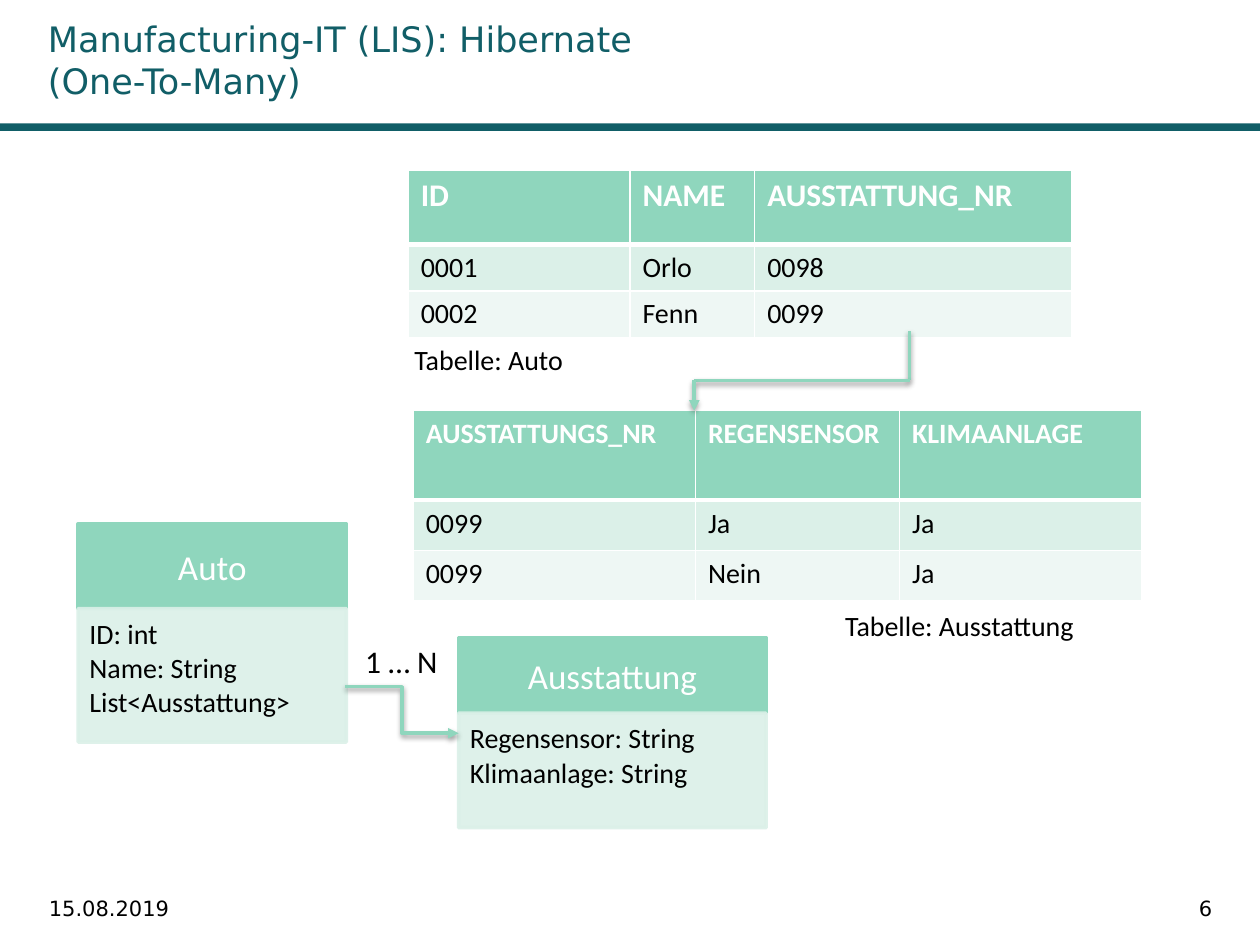
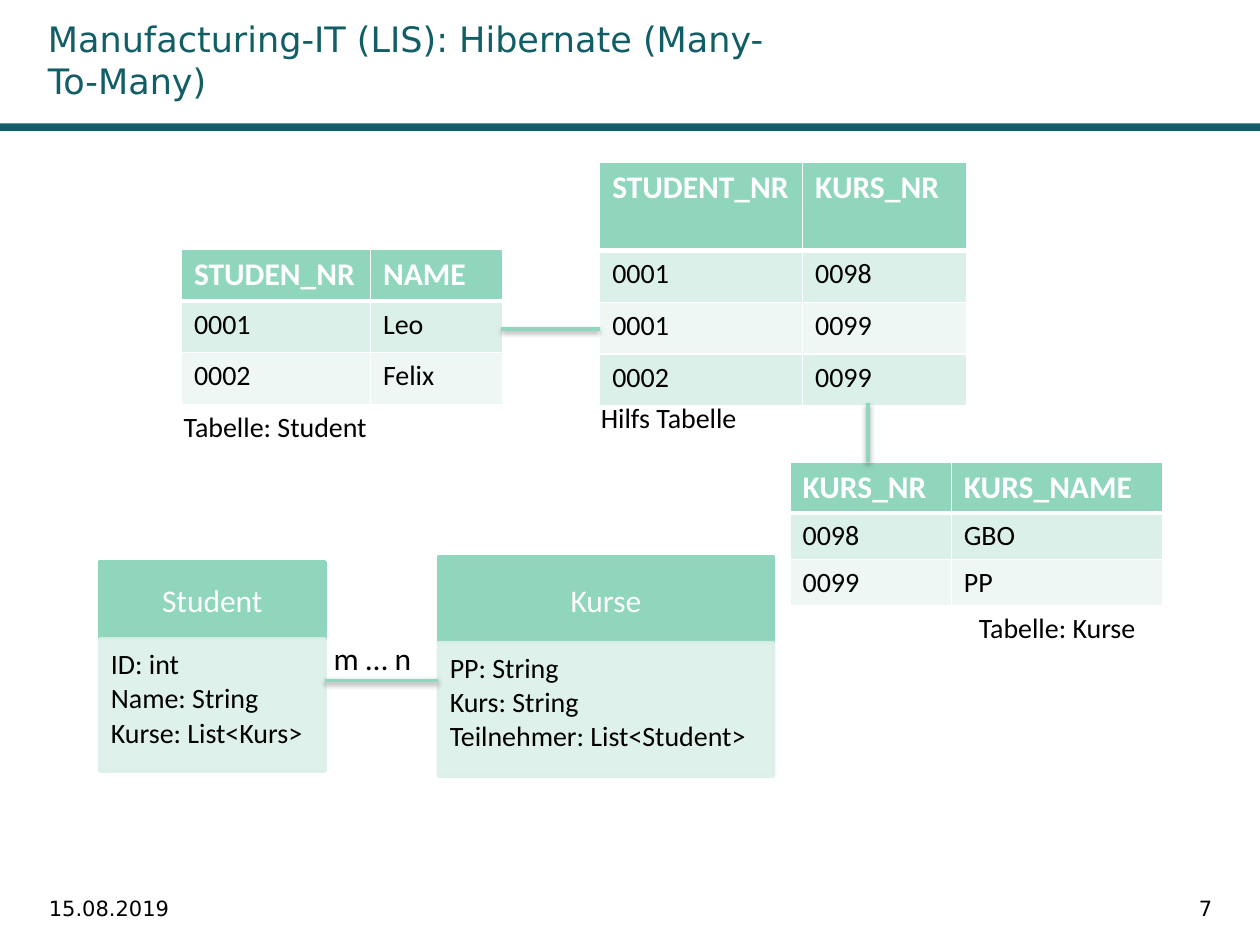
import itertools

import pptx
import pptx.dml.color
import pptx.enum.shapes
import pptx.enum.text
import pptx.oxml
import pptx.oxml.ns
import pptx.util
from pptx.util import Inches, Pt

TEAL = "115E67"
MINT = "8FD6BD"
PALE = "DBF0E8"
PALEST = "EEF7F4"
WHITE = "FFFFFF"
BLACK = "000000"
TITLE_FONT = "DejaVu Sans"
BODY_FONT = "Calibri"
DATE = "15.08.2019"

qn = pptx.oxml.ns.qn
ALIGN = pptx.enum.text.PP_ALIGN
ANCHOR = pptx.enum.text.MSO_ANCHOR
SHAPE = pptx.enum.shapes.MSO_SHAPE
CONNECTOR = pptx.enum.shapes.MSO_CONNECTOR


def color(value):
    return pptx.dml.color.RGBColor.from_string(value)


def xml(tag, attributes="", content=""):
    namespace = pptx.oxml.ns.nsdecls("a")
    return pptx.oxml.parse_xml(f"<a:{tag} {namespace} {attributes}>{content}</a:{tag}>")


def solid(value):
    return f'<a:solidFill><a:srgbClr val="{value}"/></a:solidFill>'


def format_text(text_frame, size, text_color=BLACK, font=BODY_FONT, bold=False,
                alignment=ALIGN.LEFT):
    for paragraph in text_frame.paragraphs:
        paragraph.alignment = alignment
        for run in paragraph.runs:
            run.font.size = Pt(size)
            run.font.name = font
            run.font.bold = bold
            run.font.color.rgb = color(text_color)


def add_text(slide, text, left, top, width, height, size, font=BODY_FONT,
             alignment=ALIGN.LEFT, wrap=False):
    box = slide.shapes.add_textbox(Inches(left), Inches(top), Inches(width), Inches(height))
    box.text_frame.text = text
    box.text_frame.word_wrap = wrap
    format_text(box.text_frame, size, font=font, alignment=alignment)


def add_caption(slide, text, left, top, width):
    add_text(slide, text, left, top, width, 0.37, 16)


def add_rectangle(slide, left, top, width, height, fill, line=None):
    shape = slide.shapes.add_shape(SHAPE.RECTANGLE, Inches(left), Inches(top),
                                   Inches(width), Inches(height))
    shape.shadow.inherit = False
    shape.fill.solid()
    shape.fill.fore_color.rgb = color(fill)
    if line:
        shape.line.color.rgb = color(line)
        shape.line.width = Pt(2)
    else:
        shape.line.fill.background()
    return shape


def prepare_layout(presentation):
    """Place the title and the band that all slides share."""
    layout = presentation.slide_layouts[5]
    title = layout.placeholders[0]
    title.left, title.top = Inches(0.28), Inches(0.08)
    title.width, title.height = Inches(5.98), Inches(0.79)
    return layout


def add_slide(presentation, layout, title, number):
    slide = presentation.slides.add_slide(layout)
    if number == 6:
        band = add_rectangle(slide, 0, 0.98, 10, 0.06, TEAL)
        layout.shapes.element.append(band.element)
    text_frame = slide.shapes.title.text_frame
    text_frame.text = title
    text_frame.word_wrap = True
    text_frame.vertical_anchor = ANCHOR.MIDDLE
    text_frame.auto_size = pptx.enum.text.MSO_AUTO_SIZE.NONE
    format_text(text_frame, 20, TEAL, TITLE_FONT)
    add_text(slide, DATE, 0.29, 7.06, 2.03, 0.31, 12, TITLE_FONT, wrap=True)
    add_text(slide, str(number), 8.15, 7.06, 1.57, 0.31, 12, TITLE_FONT, ALIGN.RIGHT, True)
    return slide


def add_class_box(slide, left, top, width, header_height, body_height, name, fields,
                  name_size):
    """Draw a class: its name above, its fields below."""
    header = add_rectangle(slide, left, top, width, header_height, MINT, MINT)
    header.text_frame.text = name
    header.text_frame.vertical_anchor = ANCHOR.MIDDLE
    format_text(header.text_frame, name_size, WHITE, alignment=ALIGN.CENTER)

    body = add_rectangle(slide, left, top + header_height, width, body_height, PALE, PALE)
    for paint in body.element.find(qn("p:spPr")).iter(qn("a:srgbClr")):
        paint.append(xml("alpha", 'val="90000"'))
    text_frame = body.text_frame
    text_frame.text = "\n".join(fields)
    text_frame.vertical_anchor = ANCHOR.TOP
    text_frame.margin_left = text_frame.margin_top = Inches(0.09)
    text_frame.margin_right = Inches(0.12)
    format_text(text_frame, 16)
    for paragraph in text_frame.paragraphs:
        paragraph.line_spacing = 0.9
        paragraph.space_after = Pt(2.4)


def add_borders(cell, row_index):
    """Give a cell white borders, thicker between header and body."""
    thick_side = {0: "lnB", 1: "lnT"}.get(row_index)
    properties = cell._tc.get_or_add_tcPr()
    for side in ("lnL", "lnR", "lnT", "lnB"):
        width = Pt(3 if side == thick_side else 1)
        properties.append(xml(side, f'w="{width}"', solid(WHITE)))


def add_data_table(slide, left, top, column_widths, header_height, row_height, rows,
                   header_size=18):
    heights = [header_height] + [row_height] * (len(rows) - 1)
    frame = slide.shapes.add_table(len(rows), len(column_widths), Inches(left), Inches(top),
                                   Inches(sum(column_widths)), Inches(sum(heights)))
    table = frame.table
    for column, width in zip(table.columns, column_widths):
        column.width = Inches(width)
    for row_index, values in enumerate(rows):
        table.rows[row_index].height = Inches(heights[row_index])
        is_header = row_index == 0
        fill = MINT if is_header else (PALEST, PALE)[row_index % 2]
        for column_index, value in enumerate(values):
            cell = table.cell(row_index, column_index)
            add_borders(cell, row_index)
            cell.fill.solid()
            cell.fill.fore_color.rgb = color(fill)
            cell.text_frame.text = value
            format_text(cell.text_frame, header_size if is_header else 16,
                        WHITE if is_header else BLACK, bold=is_header)


def add_link(slide, start, end, kind=CONNECTOR.STRAIGHT, arrow=False):
    ends = [Inches(value) for value in (*start, *end)]
    connector = slide.shapes.add_connector(kind, *ends)
    connector.line.color.rgb = color(MINT)
    connector.line.width = Pt(2)
    properties = connector.element.find(qn("p:spPr"))
    if arrow:
        properties.find(qn("a:ln")).append(xml("tailEnd", 'type="triangle"'))
    shadow = (f'<a:outerShdw blurRad="{Pt(3.1)}" dist="{Pt(1.6)}" dir="5400000" '
              f'rotWithShape="0"><a:srgbClr val="{BLACK}"><a:alpha val="38000"/>'
              '</a:srgbClr></a:outerShdw>')
    properties.append(xml("effectLst", content=shadow))


def add_link_path(slide, points):
    """Join the points by lines and end with an arrowhead."""
    for start, end in itertools.pairwise(points):
        add_link(slide, start, end, arrow=end == points[-1])


def build_one_to_many(presentation, layout):
    slide = add_slide(presentation, layout,
                      "Manufacturing-IT (LIS): Hibernate\v(One-To-Many)", 6)
    add_class_box(slide, 0.62, 4.16, 2.13, 0.67, 1.06, "Auto",
                  ["ID: int", "Name: String", "List<Ausstattung>"], 20)
    add_class_box(slide, 3.64, 5.06, 2.44, 0.6, 0.91, "Ausstattung",
                  ["Regensensor: String", "Klimaanlage: String"], 20)
    add_data_table(slide, 3.24, 1.35, [1.76, 0.99, 2.52], 0.59, 0.37, [
        ["ID", "NAME", "AUSSTATTUNG_NR"],
        ["0001", "Orlo", "0098"],
        ["0002", "Fenn", "0099"],
    ])
    add_data_table(slide, 3.28, 3.26, [2.24, 1.62, 1.92], 0.71, 0.4, [
        ["AUSSTATTUNGS_NR", "REGENSENSOR", "KLIMAANLAGE"],
        ["0099", "Ja", "Ja"],
        ["0099", "Nein", "Ja"],
    ], header_size=16)
    add_link(slide, (2.74, 5.45), (3.64, 5.82), CONNECTOR.ELBOW, arrow=True)
    add_link_path(slide, [(7.22, 2.63), (7.22, 3.02), (5.51, 3.02), (5.51, 3.26)])
    add_caption(slide, "Tabelle: Auto", 3.19, 2.67, 1.39)
    add_caption(slide, "Tabelle: Ausstattung", 6.61, 4.78, 2.04)
    add_text(slide, "1 … N", 2.8, 5.05, 0.78, 0.4, 18)


def build_many_to_many(presentation, layout):
    slide = add_slide(presentation, layout,
                      "Manufacturing-IT (LIS): Hibernate (Many-To-Many)", 7)
    add_class_box(slide, 0.79, 4.46, 1.79, 0.61, 1.05, "Student",
                  ["ID: int", "Name: String", "Kurse: List<Kurs>"], 18)
    add_class_box(slide, 3.48, 4.42, 2.66, 0.68, 1.06, "Kurse",
                  ["PP: String", "Kurs: String", "Teilnehmer: List<Student>"], 18)
    add_data_table(slide, 1.44, 1.98, [1.5, 1.05], 0.41, 0.41, [
        ["STUDEN_NR", "NAME"],
        ["0001", "Leo"],
        ["0002", "Felix"],
    ])
    add_data_table(slide, 6.27, 3.67, [1.28, 1.68], 0.4, 0.37, [
        ["KURS_NR", "KURS_NAME"],
        ["0098", "GBO"],
        ["0099", "PP"],
    ])
    add_data_table(slide, 4.76, 1.29, [1.61, 1.3], 0.7, 0.41, [
        ["STUDENT_NR", "KURS_NR"],
        ["0001", "0098"],
        ["0001", "0099"],
        ["0002", "0099"],
    ])
    add_caption(slide, "Tabelle: Student", 1.36, 3.2, 1.67)
    add_caption(slide, "Tabelle: Kurse", 7.67, 4.8, 1.46)
    add_caption(slide, "Hilfs Tabelle", 4.67, 3.13, 1.29)
    add_text(slide, "m … n", 2.55, 5.02, 0.94, 0.4, 18, wrap=True)
    add_link(slide, (3.98, 2.61), (4.76, 2.61))
    add_link(slide, (6.89, 3.2), (6.89, 3.67))
    add_link(slide, (2.58, 5.4), (3.48, 5.4))


def main():
    presentation = pptx.Presentation()
    presentation.slide_width = Inches(10)
    presentation.slide_height = Inches(7.5)
    layout = prepare_layout(presentation)
    build_one_to_many(presentation, layout)
    build_many_to_many(presentation, layout)
    presentation.save("out.pptx")


if __name__ == "__main__":
    main()
